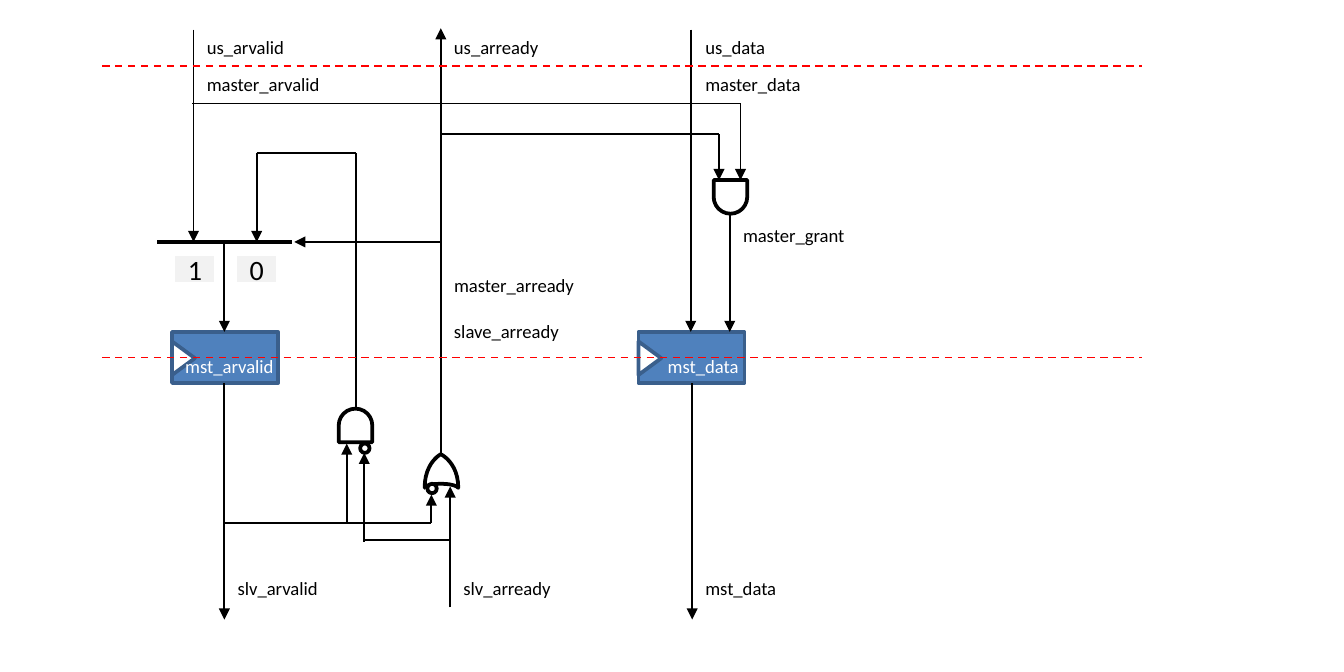
"""Build the handshake register-stage diagram slide."""
from lxml import etree
from pptx import Presentation
from pptx.dml.color import RGBColor
from pptx.enum.dml import MSO_LINE
from pptx.enum.shapes import MSO_CONNECTOR, MSO_SHAPE
from pptx.enum.text import MSO_ANCHOR, MSO_AUTO_SIZE, PP_ALIGN
from pptx.oxml.ns import qn
from pptx.util import Cm, Pt

BLACK = RGBColor(0x00, 0x00, 0x00)
WHITE = RGBColor(0xFF, 0xFF, 0xFF)
RED = RGBColor(0xFF, 0x00, 0x00)
BLUE = RGBColor(0x4F, 0x81, 0xBD)
DARK_BLUE = RGBColor(0x3A, 0x5F, 0x8C)
GREY = RGBColor(0xF2, 0xF2, 0xF2)
RECTANGLE, TRIANGLE = MSO_SHAPE.RECTANGLE, MSO_SHAPE.ISOSCELES_TRIANGLE
AND_GATE, BUBBLE = MSO_SHAPE.FLOWCHART_DELAY, MSO_SHAPE.OVAL
STRAIGHT, DASH = MSO_CONNECTOR.STRAIGHT, MSO_LINE.DASH
MIDDLE, CENTER = MSO_ANCHOR.MIDDLE, PP_ALIGN.CENTER
NO_RESIZE = MSO_AUTO_SIZE.NONE
FONT = "Calibri"
CM_PER_INCH = 2.54

REGISTER_LEFTS = [1.28, 4.75]
MUX_INPUTS = [("0", 1.75), ("1", 1.29)]
AND_GATES = [(2.52, 3.04, 270), (5.31, 1.34, 90)]
BUBBLES = [(2.68, 3.3), (3.18, 3.6)]
OR_GATE_START = (3.28, 3.38)
OR_GATE_CURVES = [
    [(3.28, 3.38), (3.41, 3.44), (3.41, 3.63)],
    [(3.41, 3.63), (3.39, 3.6), (3.28, 3.6)],
    [(3.17, 3.6), (3.16, 3.63), (3.16, 3.63)],
    [(3.16, 3.44), (3.28, 3.38), (3.28, 3.38)],
]
ARROWS = [
    (1.67, 1.8, 1.67, 2.47), (1.44, 0.22, 1.44, 1.8),
    (1.91, 1.14, 1.91, 1.8), (1.67, 2.85, 1.67, 4.61),
    (3.21, 3.89, 3.21, 3.68), (3.35, 4.52, 3.35, 3.62),
    (3.28, 1.8, 2.19, 1.8), (2.58, 3.89, 2.58, 3.3),
    (2.71, 4.03, 2.71, 3.37), (3.28, 1.82, 3.28, 0.21),
    (5.15, 2.85, 5.15, 4.61), (5.14, 0.22, 5.14, 2.47),
    (5.43, 1.6, 5.43, 2.47), (5.51, 0.77, 5.51, 1.34),
    (5.35, 1, 5.35, 1.34),
]
WIRES = [
    (1.67, 3.89, 3.21, 3.89), (2.71, 4.02, 3.35, 4.02),
    (1.91, 1.14, 2.65, 1.14), (2.65, 1.14, 2.65, 3.04),
    (3.28, 1.8, 3.28, 3.38), (1.43, 0.77, 5.51, 0.77),
    (3.28, 1, 5.35, 1),
]
MUX_BAR = (1.17, 1.8, 2.17, 1.8)
BOUNDARIES = [0.49, 2.66]
LABELS = [
    ("us_arvalid", 1.44, 0.22, 0.78, BLACK),
    ("us_arready", 3.28, 0.22, 0.84, BLACK),
    ("us_data", 5.15, 0.22, 0.65, BLACK),
    ("master_arvalid", 1.44, 0.49, 1.05, BLACK),
    ("master_data", 5.15, 0.49, 0.93, BLACK),
    ("master_grant", 5.43, 1.62, 0.98, BLACK),
    ("master_arready", 3.28, 1.99, 1.11, BLACK),
    ("slave_arready", 3.28, 2.33, 1, BLACK),
    ("mst_arvalid", 1.28, 2.59, 0.87, WHITE),
    ("mst_data", 4.87, 2.59, 0.74, WHITE),
    ("slv_arvalid", 1.67, 4.24, 0.8, BLACK),
    ("slv_arready", 3.35, 4.24, 0.86, BLACK),
    ("mst_data", 5.15, 4.24, 0.74, BLACK),
]


def lengths(*inches):
    return [Cm(value * CM_PER_INCH) for value in inches]


def style(shape, fill, line):
    shape.shadow.inherit = False
    if fill is None:
        shape.fill.background()
    else:
        shape.fill.solid()
        shape.fill.fore_color.rgb = fill
    shape.line.color.rgb = line
    shape.line.width = Pt(2)


def add_part(slide, kind, box, fill, line, rotation=0):
    shape = slide.shapes.add_shape(kind, *lengths(*box))
    shape.rotation = rotation
    style(shape, fill, line)
    return shape


def add_line(slide, ends, color=BLACK, width=1, arrow=False):
    connector = slide.shapes.add_connector(STRAIGHT, *lengths(*ends))
    connector.line.color.rgb = color
    connector.line.width = Pt(width)
    if arrow:
        outline = connector.line._get_or_add_ln()
        etree.SubElement(outline, qn("a:tailEnd"), type="triangle")
    etree.SubElement(connector._element.spPr, qn("a:effectLst"))
    return connector


def set_text(frame, text, size, color):
    paragraph = frame.paragraphs[0]
    paragraph.text = text
    paragraph.font.name = FONT
    paragraph.font.size = Pt(size)
    paragraph.font.color.rgb = color
    return paragraph


def add_or_gate(slide, steps=12):
    points, start = [], OR_GATE_START
    for first, second, end in OR_GATE_CURVES:
        for step in range(1, steps + 1):
            t = step / steps
            weights = ((1 - t) ** 3, 3 * t * (1 - t) ** 2, 3 * t * t * (1 - t), t ** 3)
            curve = (start, first, second, end)
            points.append(lengths(*(
                sum(weight * point[axis] for weight, point in zip(weights, curve))
                for axis in (0, 1))))
        start = end
    builder = slide.shapes.build_freeform(*lengths(*OR_GATE_START))
    builder.add_line_segments(points, close=True)
    style(builder.convert_to_shape(), WHITE, BLACK)


def main():
    presentation = Presentation()
    presentation.slide_width, presentation.slide_height = lengths(10, 5)
    slide = presentation.slides.add_slide(presentation.slide_layouts[6])

    for left in REGISTER_LEFTS:
        add_part(slide, RECTANGLE, (left, 2.47, 0.79, 0.38), BLUE, DARK_BLUE)
        add_part(slide, TRIANGLE, (left - 0.04, 2.58, 0.25, 0.17), WHITE, DARK_BLUE, 90)
    for digit, left in MUX_INPUTS:
        shape = add_part(slide, RECTANGLE, (left, 1.89, 0.32, 0.22), GREY, WHITE)
        shape.text_frame.vertical_anchor = MIDDLE
        set_text(shape.text_frame, digit, 15, BLACK).alignment = CENTER
    for left, top, rotation in AND_GATES:
        add_part(slide, AND_GATE, (left, top, 0.25, 0.25), None, BLACK, rotation)
    add_or_gate(slide)
    for left, top in BUBBLES:
        add_part(slide, BUBBLE, (left, top, 0.07, 0.07), WHITE, BLACK)

    add_line(slide, MUX_BAR, width=2)
    for ends in ARROWS:
        add_line(slide, ends, arrow=True)
    for ends in WIRES:
        add_line(slide, ends)
    for text, left, top, width, color in LABELS:
        frame = slide.shapes.add_textbox(*lengths(left, top, width, 0.27)).text_frame
        frame.word_wrap = False
        frame.auto_size = NO_RESIZE
        set_text(frame, text, 10, color)
    for y in BOUNDARIES:
        add_line(slide, (0.76, y, 8.5, y), RED).line.dash_style = DASH

    presentation.save("out.pptx")


if __name__ == "__main__":
    main()
